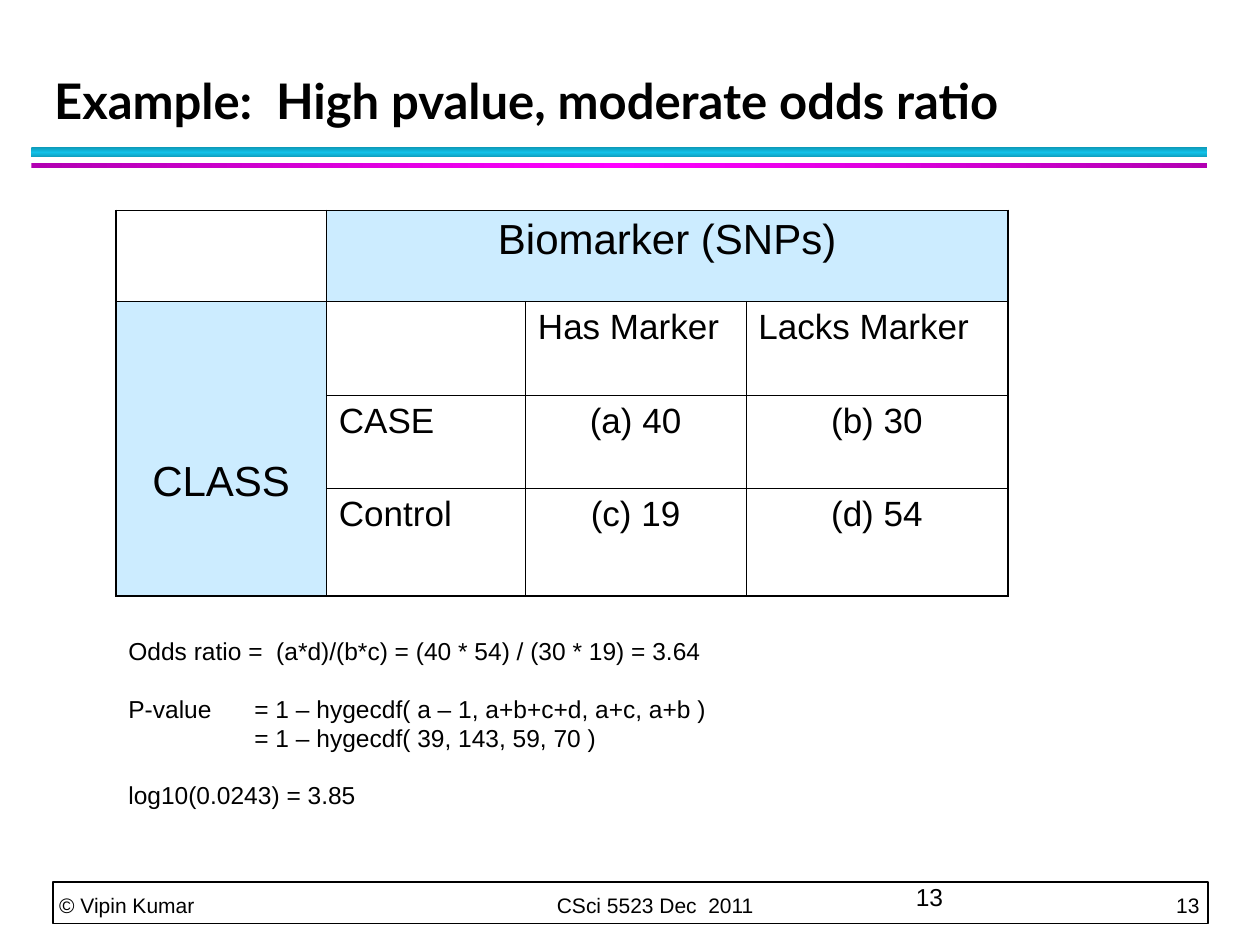
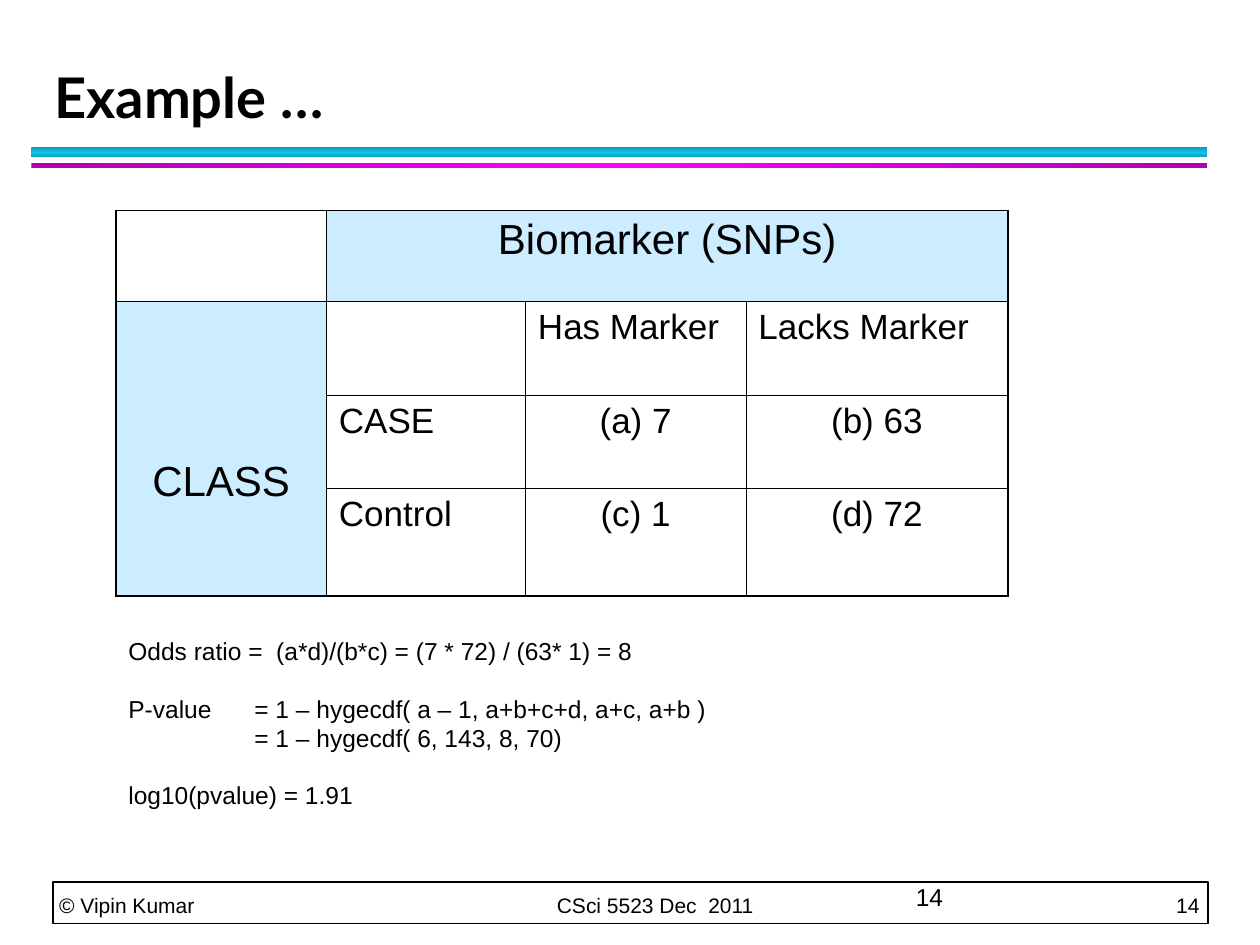
from copy import deepcopy
from dataclasses import dataclass

from pptx import Presentation
from pptx import util as u
from pptx.dml.color import RGBColor as Rgb
from pptx.enum import shapes, text
from pptx.oxml import ns, xmlchemy as xc


@dataclass(frozen=True)
class Theme:
    ink: str = "000000"
    paper: str = "FFFFFF"
    tint: str = "CCECFF"
    teal: tuple = ("0E9BBA", "12C2E9", "0E9BBA")
    pink: tuple = ("B200B2", "FF00FF", "B200B2")
    head: str = "Lato"
    face: str = "Arial"
    big: int = 24
    mid: int = 20
    note: int = 14
    foot: int = 12
    outer: float = 1.08
    inner: float = 0.45


T = Theme()
LEFT, MID = text.PP_ALIGN.LEFT, text.PP_ALIGN.CENTER


def write(para, words, size, face=T.face, bold=False, align=LEFT, tabs=()):
    """Add one run to a paragraph, with tab stops as (inches, kind)."""
    para.alignment = align
    run = para.add_run()
    run.text = words
    run.font.name, run.font.size, run.font.bold = face, u.Pt(size), bold
    run.font.color.rgb = Rgb.from_string(T.ink)
    if tabs:
        stops = xc.OxmlElement("a:tabLst")
        for place, kind in tabs:
            stop = xc.OxmlElement("a:tab")
            stop.set("pos", str(u.Inches(place)))
            stop.set("algn", kind)
            stops.append(stop)
        para._p.get_or_add_pPr().append(stops)


def edge(cell, sides):
    """Draw the four cell borders; sides maps L, R, T, B to points."""
    props = cell._tc.get_or_add_tcPr()
    for spot, (side, width) in enumerate(sides.items()):
        line = xc.OxmlElement("a:ln" + side)
        line.set("w", str(u.Pt(width)))
        fill = xc.OxmlElement("a:solidFill")
        tone = xc.OxmlElement("a:srgbClr")
        tone.set("val", T.ink)
        fill.append(tone)
        line.append(fill)
        props.insert(spot, line)


# Content: page, title, title size, counts a to d, sums
pages = [
    (13, "Example:  High pvalue, moderate odds ratio", 28, (40, 30, 19, 54),
     ("Odds ratio =  (a*d)/(b*c) = (40 * 54) / (30 * 19) = 3.64",
      "= 1 – hygecdf( 39, 143, 59, 70 )", "log10(0.0243) = 3.85")),
    (14, "Example …", 32, (7, 63, 1, 72),
     ("Odds ratio =  (a*d)/(b*c) = (7 * 72) / (63* 1) = 8",
      "= 1 – hygecdf( 6, 143, 8, 70)", "log10(pvalue) = 1.91")),
]
cols = (1.67, 1.58, 1.75, 2.08)
rows = (0.72, 0.75, 0.74, 0.85)
bands = [(1.17, 0.08, T.teal, 90), (1.29, 0.04, T.pink, 0)]

deck = Presentation()
deck.slide_width, deck.slide_height = u.Inches(10), u.Inches(7.5)

for page, title, size, (a, b, c, d), (odds, value, log) in pages:
    slide = deck.slides.add_slide(deck.slide_layouts.get_by_name("Title Only"))
    draw = slide.shapes

    # Footer: a framed line with copyright, course and page
    foot = draw.add_shape(shapes.MSO_SHAPE.RECTANGLE, u.Inches(0.42),
                          u.Inches(7), u.Inches(9.17), u.Inches(0.33))
    foot.shadow.inherit = False
    foot.fill.solid()
    foot.fill.fore_color.rgb = Rgb.from_string(T.paper)
    foot.line.color.rgb = Rgb.from_string(T.ink)
    foot.line.width = u.Pt(1)
    frame = foot.text_frame
    frame.margin_left = u.Inches(0.05)
    frame.margin_right = frame.margin_top = 0
    frame.margin_bottom = u.Inches(0.05)
    frame.vertical_anchor = text.MSO_ANCHOR.BOTTOM
    para = frame.paragraphs[0]
    para.line_spacing = u.Pt(20)
    write(para, f"© Vipin Kumar\tCSci 5523 Dec  2011\t{page}", T.foot,
          tabs=[(3.95, "l"), (9.05, "r")])

    # Gradient bands under the title
    for top, high, tones, angle in bands:
        band = draw.add_shape(shapes.MSO_SHAPE.RECTANGLE, u.Inches(0.25),
                              u.Inches(top), u.Inches(9.33), u.Inches(high))
        band.shadow.inherit = False
        band.line.fill.background()
        band.fill.gradient()
        band.fill.gradient_angle = angle
        stops = band._element.spPr.find(".//" + ns.qn("a:gsLst"))
        stops.append(deepcopy(stops[0]))
        for spot, tone in enumerate(tones):
            stop = band.fill.gradient_stops[spot]
            stop.position = spot / 2
            stop.color.rgb = Rgb.from_string(tone)

    # Title
    head = draw.title
    head.left, head.top = u.Inches(0.33), u.Inches(0.25)
    head.width, head.height = u.Inches(9.33), u.Inches(0.83)
    head.text_frame.auto_size = text.MSO_AUTO_SIZE.NONE
    head.text_frame.vertical_anchor = text.MSO_ANCHOR.BOTTOM
    para = head.text_frame.paragraphs[0]
    para.line_spacing = u.Pt(36)
    write(para, title, size, T.head, True)

    # Table of class against marker
    grid = draw.add_table(4, 4, u.Inches(0.92), u.Inches(1.67),
                          u.Inches(sum(cols)), u.Inches(sum(rows))).table
    grid.first_row = grid.horz_banding = False
    for col, wide in zip(grid.columns, cols):
        col.width = u.Inches(wide)
    for row, high in zip(grid.rows, rows):
        row.height = u.Inches(high)
    grid.cell(0, 1).merge(grid.cell(0, 3))
    grid.cell(1, 0).merge(grid.cell(3, 0))
    cells = [
        ("", "Biomarker (SNPs)", "", ""),
        ("CLASS", "", "Has Marker", "Lacks Marker"),
        ("", "CASE", f"(a) {a}", f"(b) {b}"),
        ("", "Control", f"(c) {c}", f"(d) {d}"),
    ]
    for y, line in enumerate(cells):
        for x, words in enumerate(line):
            cell = grid.cell(y, x)
            if cell.is_spanned:
                continue
            label = cell.is_merge_origin
            cell.fill.solid()
            cell.fill.fore_color.rgb = Rgb.from_string(
                T.tint if label else T.paper)
            rims = {"L": x == 0, "R": x + cell.span_width == 4,
                    "T": y == 0, "B": y + cell.span_height == 4}
            edge(cell, {side: T.outer if rim else T.inner
                        for side, rim in rims.items()})
            if words:
                write(cell.text_frame.paragraphs[0], words,
                      T.big if label else T.mid,
                      align=MID if label or (x > 1 and y > 1) else LEFT)
    grid.cell(1, 0).margin_top = u.Inches(1.25)

    # Sums below the table
    box = draw.add_textbox(u.Inches(0.92), u.Inches(5),
                           u.Inches(7.42), u.Inches(1.5))
    frame = box.text_frame
    frame.word_wrap = True
    sums = [(odds, 0),
            ("P-value\t= 1 – hygecdf( a – 1, a+b+c+d, a+c, a+b )", 16),
            ("\t" + value, 0), (log, 16)]
    for spot, (words, gap) in enumerate(sums):
        para = frame.add_paragraph() if spot else frame.paragraphs[0]
        para.space_before = u.Pt(gap)
        write(para, words, T.note, tabs=[(1, "l")])

    # Second page number
    box = draw.add_textbox(u.Inches(7.17), u.Inches(6.95),
                           u.Inches(2.33), u.Inches(0.4))
    box.text_frame.word_wrap = True
    write(box.text_frame.paragraphs[0], str(page), T.note)

deck.save("out.pptx")
